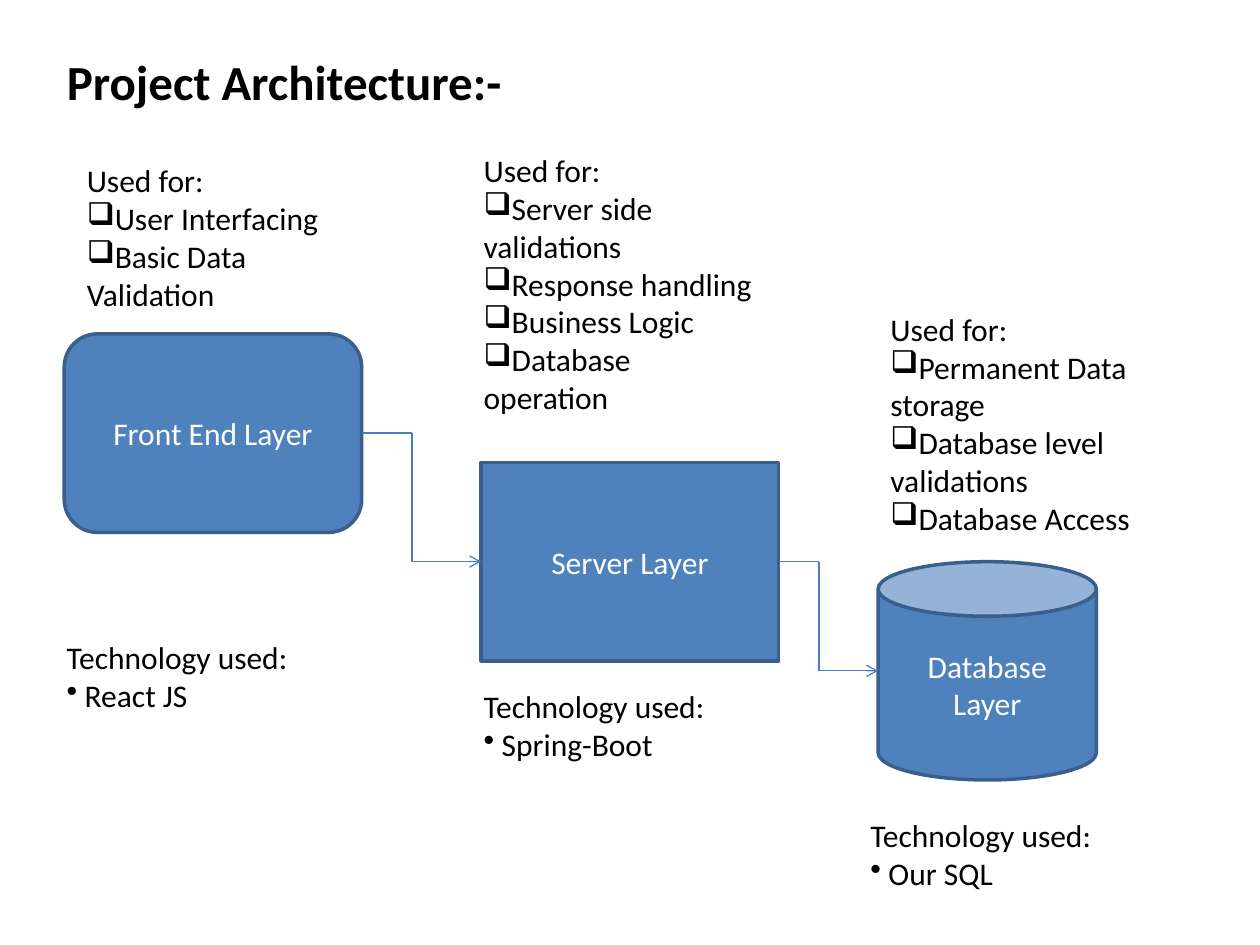
import pptx
import pptx.dml.color
import pptx.enum.shapes
import pptx.enum.text
import pptx.oxml.ns
import pptx.util
import lxml.etree

Pt = pptx.util.Pt
Shape = pptx.enum.shapes.MSO_SHAPE
Anchor = pptx.enum.text.MSO_ANCHOR
Align = pptx.enum.text.PP_ALIGN
qn = pptx.oxml.ns.qn

BLACK = pptx.dml.color.RGBColor(0x00, 0x00, 0x00)
WHITE = pptx.dml.color.RGBColor(0xFF, 0xFF, 0xFF)
BLUE = pptx.dml.color.RGBColor(0x4F, 0x81, 0xBD)
OUTLINE = pptx.dml.color.RGBColor(0x3A, 0x5F, 0x8C)
ARROW = pptx.dml.color.RGBColor(0x4B, 0x7E, 0xBC)


def style_text(para, size, color, bold=False):
    for span in para.runs:
        span.font.name = "Calibri"
        span.font.size = Pt(size)
        span.font.bold = bold
        span.font.color.rgb = color


def add_list(page, left, top, width, height, heading, items, bullet, hang):
    box = page.shapes.add_textbox(Pt(left), Pt(top), Pt(width), Pt(height))
    frame = box.text_frame
    frame.word_wrap = True
    frame.text = "\n".join([heading] + items)
    for para in frame.paragraphs:
        style_text(para, 18, BLACK)
    for para in frame.paragraphs[1:]:
        props = para._p.get_or_add_pPr()
        props.set("marL", str(Pt(hang)))
        props.set("indent", str(-Pt(hang)))
        lxml.etree.SubElement(props, qn("a:buChar")).set("char", bullet)


deck = pptx.Presentation()
deck.slide_width, deck.slide_height = Pt(720), Pt(540)
page = deck.slides.add_slide(deck.slide_layouts[5])

# Title
title = page.shapes.title
title.left, title.top, title.width, title.height = Pt(31), Pt(26), Pt(635), Pt(41)
title.text_frame.text = "Project Architecture:-"
title.text_frame.vertical_anchor = Anchor.TOP
title.text_frame.paragraphs[0].alignment = Align.LEFT
style_text(title.text_frame.paragraphs[0], 28, BLACK, bold=True)

# Layers
layers = [
    ("Front End Layer", Shape.ROUNDED_RECTANGLE, 36.7, 190.8, 170, 113.4),
    ("Server Layer", Shape.RECTANGLE, 275, 264.2, 170, 113.4),
    ("Database Layer", Shape.CAN, 501.8, 321, 124.7, 124.7),
]
for name, kind, left, top, width, height in layers:
    layer = page.shapes.add_shape(kind, Pt(left), Pt(top), Pt(width), Pt(height))
    layer.shadow.inherit = False
    layer.fill.solid()
    layer.fill.fore_color.rgb = BLUE
    layer.line.color.rgb = OUTLINE
    layer.line.width = Pt(2)
    layer.text_frame.text = name
    layer.text_frame.word_wrap = True
    layer.text_frame.vertical_anchor = Anchor.MIDDLE
    layer.text_frame.paragraphs[0].alignment = Align.CENTER
    style_text(layer.text_frame.paragraphs[0], 18, WHITE)

# Stepped arrows from the right side of each layer to the left side of the next
for source, target, bend in zip(layers, layers[1:], (235.4, 468)):
    start_y, end_y = (top + height / 2 for _, _, _, top, _, height in (source, target))
    corners = [(source[2] + source[4], start_y), (bend, start_y), (bend, end_y), (target[2], end_y)]
    for start, end in zip(corners, corners[1:]):
        segment = page.shapes.add_connector(
            pptx.enum.shapes.MSO_CONNECTOR.STRAIGHT, *map(Pt, start + end))
        segment.line.color.rgb = ARROW
        segment.line.width = Pt(0.75)
        if end == corners[-1]:
            head = lxml.etree.SubElement(segment.line._get_or_add_ln(), qn("a:tailEnd"))
            head.set("type", "arrow")
        lxml.etree.SubElement(segment._element.spPr, qn("a:effectLst"))

# Technologies below the layers
for left, top, width, technology in [
    (31, 361, 170, "React JS"),
    (269.3, 389, 170, "Spring-Boot"),
    (490.3, 463, 147.6, "Our SQL"),
]:
    add_list(page, left, top, width, 51, "Technology used:", [technology], "•", 10.3)

# Purposes above the layers
for left, top, width, height, purposes in [
    (42.5, 88.6, 170, 94.3, ["User Interfacing", "Basic Data Validation"]),
    (269.3, 82.8, 170, 159.8, ["Server side validations", "Response handling",
                               "Business Logic", "Database operation"]),
    (501.8, 173.5, 198.7, 138.2, ["Permanent Data storage", "Database level validations",
                                  "Database Access"]),
]:
    add_list(page, left, top, width, height, "Used for:", purposes, "❑", 0)

deck.save("out.pptx")
